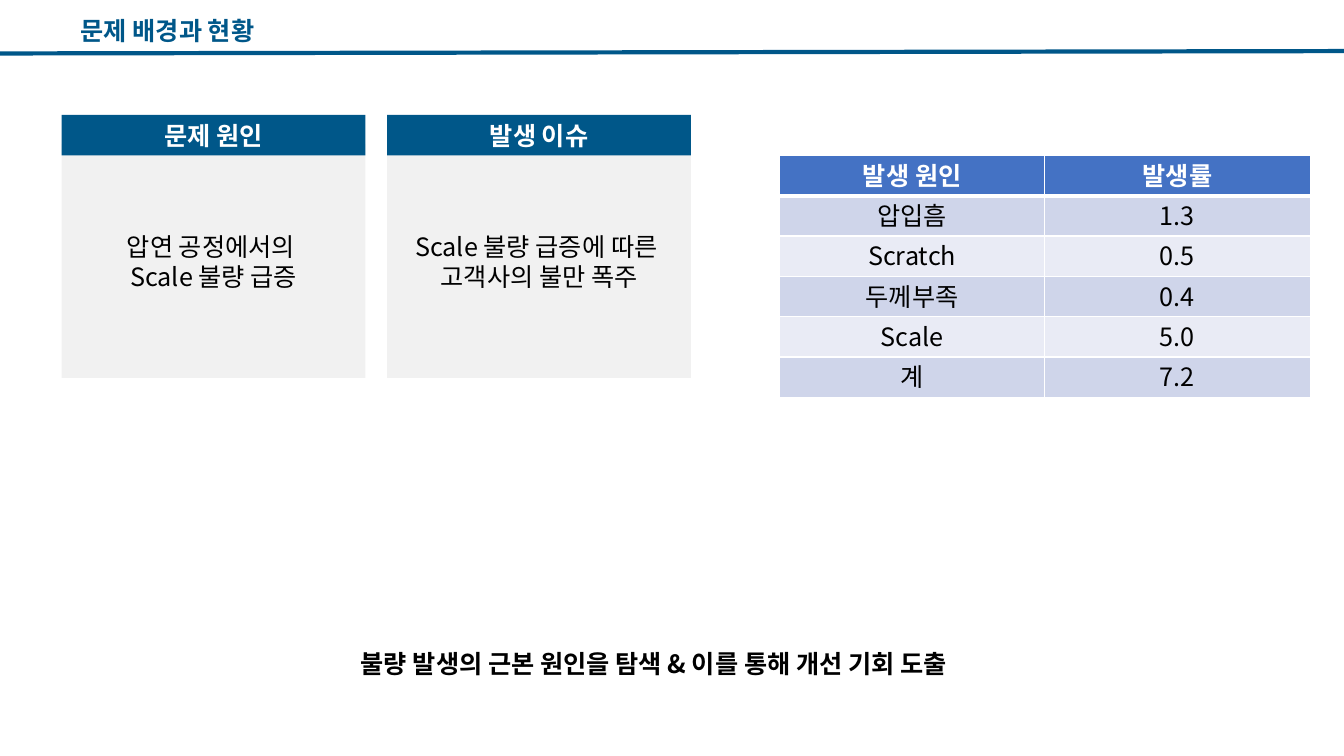
from dataclasses import dataclass

from lxml import etree
from pptx import Presentation
from pptx.dml.color import RGBColor
from pptx.enum import shapes, text
from pptx.oxml import ns
from pptx.util import Pt

FONT = "Noto Sans CJK KR"
NAVY, GREY, WHITE, BLACK = "005789", "F1F1F1", "FFFFFF", "000000"
TABLE_HEAD, BANDS = "4472C4", ("CFD5EA", "E9EBF5")
LEFT, CENTER = text.PP_ALIGN.LEFT, text.PP_ALIGN.CENTER
TOP, MIDDLE = text.MSO_ANCHOR.TOP, text.MSO_ANCHOR.MIDDLE


@dataclass
class Card:
    heading: str
    lines: list[str]


CARDS = [
    Card("문제 원인", ["압연 공정에서의 ", "Scale 불량 급증"]),
    Card("발생 이슈", ["Scale 불량 급증에 따른 ", "고객사의 불만 폭주"]),
]
ROWS = [
    ("발생 원인", "발생률"),
    ("압입흠", "1.3"),
    ("Scratch", "0.5"),
    ("두께부족", "0.4"),
    ("Scale", "5.0"),
    ("계", "7.2"),
]


def rgb(color: str) -> RGBColor:
    return RGBColor.from_string(color)


def write(tf, lines: list[str], color: str, bold: bool = False, align=CENTER) -> None:
    """Fill a text frame, one paragraph per line."""
    for i, line in enumerate(lines):
        p = tf.paragraphs[0] if i == 0 else tf.add_paragraph()
        p.alignment = align
        p.line_spacing = Pt(21.4)
        p.space_before = Pt(0)
        r = p.add_run()
        r.text = line
        r.font.size, r.font.bold, r.font.name = Pt(18), bold, FONT
        r.font.color.rgb = rgb(color)
        ea = etree.SubElement(r.font._element, ns.qn("a:ea"))
        ea.set("typeface", FONT)


def set_frame(tf, anchor, side: float, edge: float) -> None:
    tf.word_wrap = True
    tf.auto_size = text.MSO_AUTO_SIZE.NONE
    tf.vertical_anchor = anchor
    tf.margin_left = tf.margin_right = Pt(side)
    tf.margin_top = tf.margin_bottom = Pt(edge)


def add_panel(s, left: float, top: float, height: float, fill: str,
              lines: list[str], color: str, bold: bool = False) -> None:
    sp = s.shapes.add_shape(shapes.MSO_SHAPE.RECTANGLE,
                            Pt(left), Pt(top), Pt(217), Pt(height))
    sp.shadow.inherit = False
    sp.fill.solid()
    sp.fill.fore_color.rgb = rgb(fill)
    sp.line.fill.background()
    set_frame(sp.text_frame, MIDDLE, 0, 0)
    write(sp.text_frame, lines, color, bold)


def set_borders(cell, bottom: float) -> None:
    """White cell borders; they come before the fill in tcPr."""
    tc_pr = cell._tc.get_or_add_tcPr()
    for i, (side, width) in enumerate(zip("LRTB", (1, 1, 1, bottom))):
        ln = etree.Element(ns.qn(f"a:ln{side}"), w=str(Pt(width)))
        fill = etree.SubElement(ln, ns.qn("a:solidFill"))
        etree.SubElement(fill, ns.qn("a:srgbClr"), val=WHITE)
        tc_pr.insert(i, ln)


def add_rate_table(s) -> None:
    table = s.shapes.add_table(len(ROWS), 2, Pt(556.8), Pt(111),
                               Pt(379), Pt(28.8 * len(ROWS))).table
    for i, row in enumerate(ROWS):
        head = i == 0
        for j, value in enumerate(row):
            cell = table.cell(i, j)
            cell.margin_top, cell.margin_bottom = Pt(5), Pt(2)
            cell.fill.solid()
            cell.fill.fore_color.rgb = rgb(TABLE_HEAD if head else BANDS[(i - 1) % 2])
            set_borders(cell, 3 if head else 1)
            write(cell.text_frame, [value], WHITE if head else BLACK, head)


def main() -> None:
    prs = Presentation()
    prs.slide_width, prs.slide_height = Pt(960), Pt(540)
    s = prs.slides.add_slide(prs.slide_layouts[5])

    # Title and rule
    title = s.shapes.title
    title.left, title.top, title.width, title.height = Pt(50.4), Pt(7.2), Pt(155), Pt(29)
    set_frame(title.text_frame, TOP, 7.2, 3.6)
    write(title.text_frame, ["문제 배경과 현황"], NAVY, True, LEFT)
    rule = s.shapes.add_connector(shapes.MSO_CONNECTOR.STRAIGHT,
                                  Pt(-0.5), Pt(38.2), Pt(960), Pt(36.5))
    rule.line.color.rgb = rgb(NAVY)
    rule.line.width = Pt(3)
    etree.SubElement(rule._element.spPr, ns.qn("a:effectLst"))

    # Cause and issue cards
    for i, card in enumerate(CARDS):
        left = 44.1 + 232.5 * i
        add_panel(s, left, 103, 167, GREY, card.lines, BLACK)
        add_panel(s, left, 82, 29, NAVY, [card.heading], WHITE, True)

    # Conclusion
    box = s.shapes.add_textbox(Pt(250.6), Pt(459.4), Pt(644.4), Pt(29))
    set_frame(box.text_frame, TOP, 7.2, 3.6)
    write(box.text_frame, ["불량 발생의 근본 원인을 탐색 & 이를 통해 개선 기회 도출"],
          BLACK, True, LEFT)

    # Defect rates
    add_rate_table(s)
    prs.save("out.pptx")


if __name__ == "__main__":
    main()
